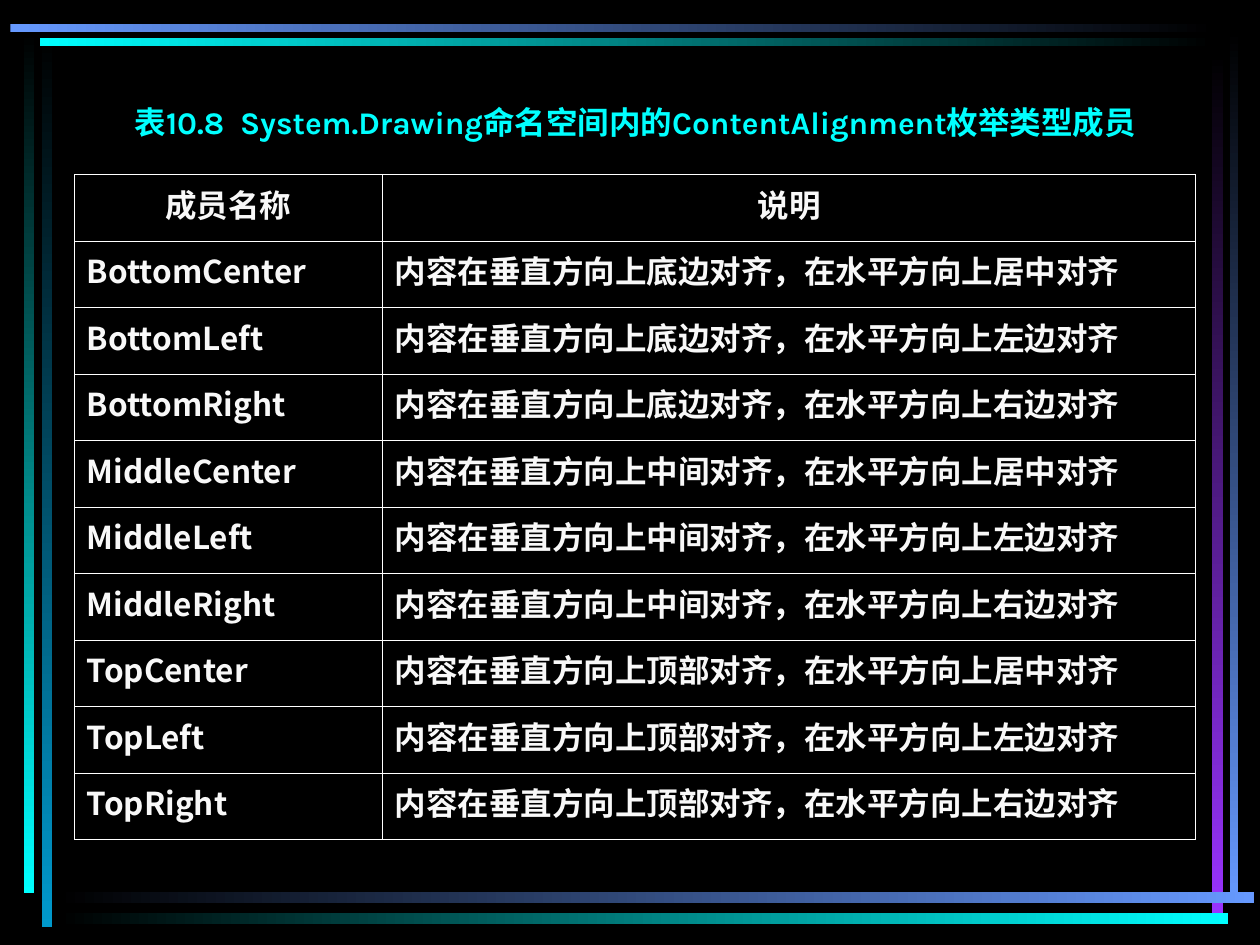
from itertools import product

from lxml.etree import SubElement
from pptx import Presentation
from pptx.dml.color import RGBColor
from pptx.enum.shapes import MSO_SHAPE
from pptx.enum.text import MSO_ANCHOR, PP_ALIGN
from pptx.oxml.ns import qn
from pptx.util import Pt

BLACK, CYAN, BLUE = "000000", "00FFFF", "6699FF"
DEEP_BLUE, PURPLE = "0099CC", "9933FF"
TEXT_COLOR, BORDER_COLOR = "F8F8F8", "FFFFFF"
CHINESE_FONT = "Noto Sans CJK SC"

# left, top, width, height, first colour, last colour
BARS = [
    (23.8, 20.2, 6, 509.8, BLACK, DEEP_BLUE),
    (13.7, 18, 6, 492.5, BLACK, CYAN),
    (702.7, 17.3, 5, 499, BLACK, BLUE),
    (692.6, 30.2, 6.2, 491.8, BLACK, PURPLE),
    (32.4, 509.8, 684, 6, BLACK, BLUE),
    (32.4, 522, 669.6, 6, BLACK, CYAN),
    (23, 21.6, 671, 4.5, CYAN, BLACK),
    (6, 13.6, 688.3, 5, BLUE, BLACK),
]

VERTICAL = {"Bottom": "底边", "Middle": "中间", "Top": "顶部"}
HORIZONTAL = {"Center": "居中", "Left": "左边", "Right": "右边"}


def color(value):
    return RGBColor.from_string(value)


class SlideBuilder:
    def __init__(self, slide):
        self.slide = slide
        self.font = {"size": Pt(18), "bold": True}

    def background(self, fill_color):
        fill = self.slide.background.fill
        fill.solid()
        fill.fore_color.rgb = color(fill_color)

    def bar(self, left, top, width, height, first, last):
        """Draw a strip that fades along its longer side."""
        bar = self.slide.shapes.add_shape(
            MSO_SHAPE.RECTANGLE, Pt(left), Pt(top), Pt(width), Pt(height))
        bar.shadow.inherit = False
        bar.line.fill.background()
        bar.fill.gradient()
        bar.fill.gradient_angle = 270 if height > width else 0
        for stop, value in zip(bar.fill.gradient_stops, (first, last)):
            stop.color.rgb = color(value)

    def add_text(self, frame, text, font_name, text_color, alignment):
        para = frame.paragraphs[0]
        para.alignment = alignment
        span = para.add_run()
        span.text = text
        for name, value in {**self.font, "name": font_name}.items():
            setattr(span.font, name, value)
        span.font.color.rgb = color(text_color)
        SubElement(span.font._element, qn("a:ea"), typeface=CHINESE_FONT)

    def title(self, text, left, top, width, height):
        box = self.slide.shapes.add_textbox(Pt(left), Pt(top), Pt(width), Pt(height))
        frame = box.text_frame
        frame.word_wrap = True
        frame.vertical_anchor = MSO_ANCHOR.MIDDLE
        self.add_text(frame, text, "Karla", CYAN, PP_ALIGN.CENTER)

    def borders(self, cell):
        properties = cell._tc.get_or_add_tcPr()
        for position, side in enumerate(("lnL", "lnR", "lnT", "lnB")):
            line = SubElement(properties, qn(f"a:{side}"), w=str(Pt(0.45)))
            fill = SubElement(line, qn("a:solidFill"))
            SubElement(fill, qn("a:srgbClr"), val=BORDER_COLOR)
            properties.insert(position, line)

    def table(self, rows, left, top, widths, row_height):
        table = self.slide.shapes.add_table(
            len(rows), len(widths), Pt(left), Pt(top),
            Pt(sum(widths)), Pt(row_height * len(rows))).table
        table.first_row = table.horz_banding = False
        for column, width in zip(table.columns, widths):
            column.width = Pt(width)
        for row_index, row in enumerate(rows):
            table.rows[row_index].height = Pt(row_height)
            alignment = PP_ALIGN.LEFT if row_index else PP_ALIGN.CENTER
            for column_index, text in enumerate(row):
                cell = table.cell(row_index, column_index)
                cell.fill.background()
                self.borders(cell)
                self.add_text(cell.text_frame, text, CHINESE_FONT, TEXT_COLOR, alignment)


def main():
    deck = Presentation()
    deck.slide_width, deck.slide_height = Pt(720), Pt(540)
    page = SlideBuilder(deck.slides.add_slide(deck.slide_layouts[6]))
    page.background(BLACK)
    for bar in BARS:
        page.bar(*bar)
    page.title("表10.8  System.Drawing命名空间内的ContentAlignment枚举类型成员",
               48, 54.7, 630, 30.2)
    members = [
        (vertical + horizontal,
         f"内容在垂直方向上{VERTICAL[vertical]}对齐，在水平方向上{HORIZONTAL[horizontal]}对齐")
        for vertical, horizontal in product(VERTICAL, HORIZONTAL)
    ]
    page.table([("成员名称", "说明"), *members], 42.5, 99.8, (176, 464.8), 38)
    deck.save("out.pptx")


if __name__ == "__main__":
    main()
